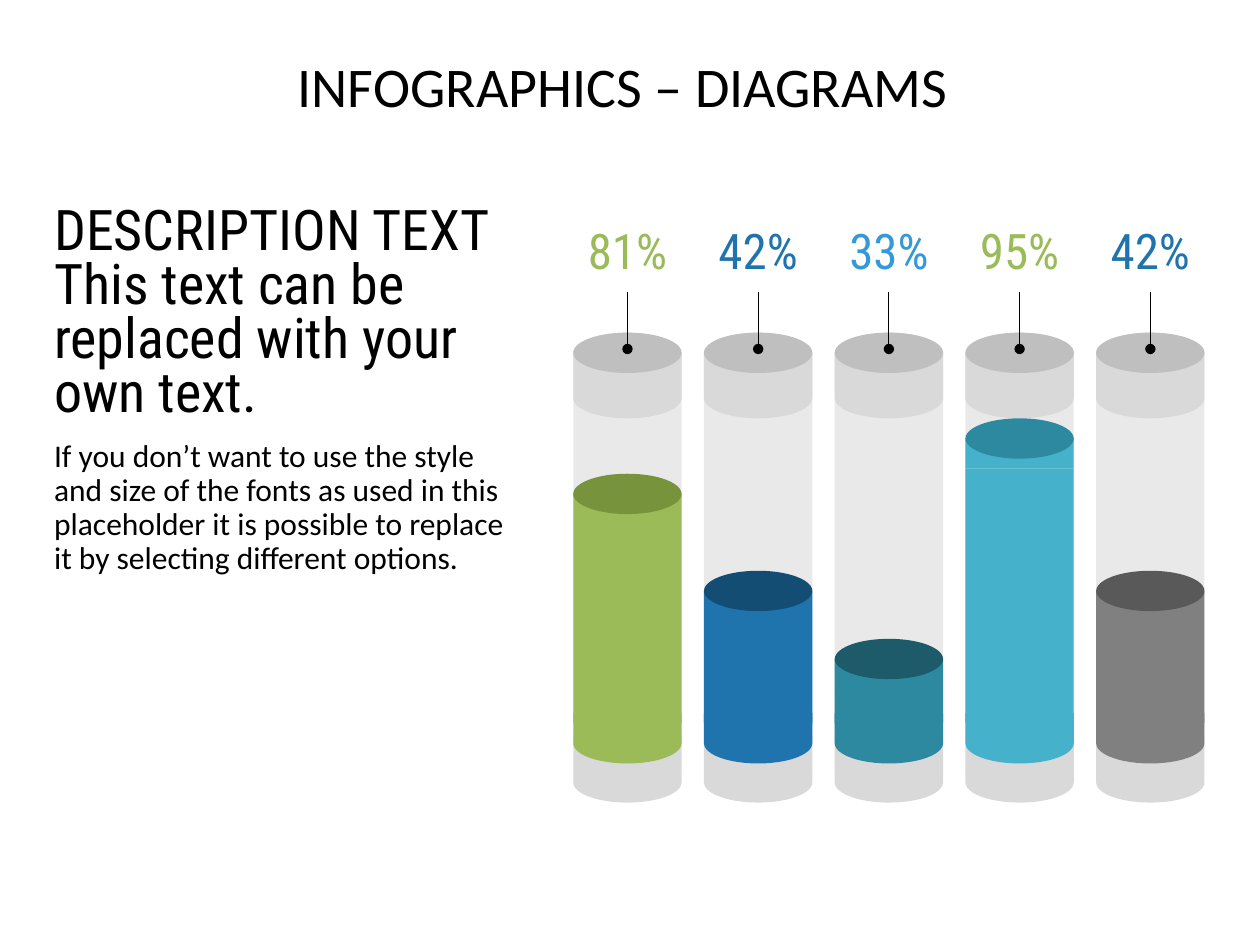
from dataclasses import dataclass
from math import cos, pi, sin

from pptx import Presentation
from pptx.dml.color import RGBColor
from pptx.enum.shapes import MSO_CONNECTOR, MSO_SHAPE
from pptx.enum.text import MSO_ANCHOR, MSO_AUTO_SIZE, PP_ALIGN
from pptx.oxml.ns import qn
from pptx.util import Inches, Pt
from lxml.etree import SubElement

UNIT = Inches(0.1)  # the slide is a grid of 100 columns by 75 rows


@dataclass(frozen=True)
class Theme:
    heading_font: str = "Roboto Condensed"
    body_font: str = "Calibri"
    heading_size: int = 32
    body_size: int = 18
    label_size: int = 28
    pointer_width: float = 0.5
    text: str = "000000"
    glass: str = "A6A6A6"
    glass_opacity: int = 24
    cap: str = "D9D9D9"
    lid: str = "BFBFBF"
    green: str = "9BBB59"
    dark_green: str = "77933C"
    blue: str = "1F74AD"
    dark_blue: str = "144D73"
    light_blue: str = "3498DB"
    aqua: str = "45B1CB"
    teal: str = "2D899F"
    dark_teal: str = "1E5B6A"
    grey: str = "808080"
    dark_grey: str = "595959"


THEME = Theme()


@dataclass(frozen=True)
class Box:
    left: float
    top: float
    width: float
    height: float

    def band(self, row, height):
        """A full-width strip that starts some rows below the top."""
        return Box(self.left, self.top + row, self.width, height)

    def emu(self):
        return [round(v * UNIT) for v in (self.left, self.top, self.width, self.height)]


@dataclass(frozen=True)
class Cylinder:
    label: str
    label_color: str
    fill: str
    surface: str
    level: float  # row of the liquid surface


CYLINDERS = [
    Cylinder("81%", THEME.green, THEME.green, THEME.dark_green, 20.5),
    Cylinder("42%", THEME.blue, THEME.blue, THEME.dark_blue, 28.2),
    Cylinder("33%", THEME.light_blue, THEME.teal, THEME.dark_teal, 33.6),
    Cylinder("95%", THEME.green, THEME.aqua, THEME.teal, 16.1),
    Cylinder("42%", THEME.blue, THEME.grey, THEME.dark_grey, 28.2),
]
ELLIPSE = 3.2  # rows taken by a full ellipse
CAP = 6.8
LABEL = 6.1


def add_text(paragraph, text, font, size, color, spacing):
    paragraph.line_spacing = spacing
    for index, line in enumerate(text.split("\n")):
        if index:
            paragraph.add_line_break()
        run = paragraph.add_run()
        run.text = line
        run.font.name, run.font.size = font, Pt(size)
        run.font.color.rgb = RGBColor.from_string(color)


def prepare_frame(shape, anchor=MSO_ANCHOR.TOP):
    frame = shape.text_frame
    frame.margin_left = frame.margin_top = frame.margin_right = frame.margin_bottom = 0
    frame.word_wrap, frame.auto_size = True, MSO_AUTO_SIZE.NONE
    frame.vertical_anchor = anchor
    return frame


def paint(shape, color):
    shape.shadow.inherit = False
    shape.fill.solid()
    shape.fill.fore_color.rgb = RGBColor.from_string(color)
    shape.line.fill.background()
    return shape


def add_solid(shapes, preset, box, color):
    return paint(shapes.add_shape(preset, *box.emu()), color)


def add_rounded_band(shapes, box, color, round_top):
    """A strip with a half ellipse below and, if asked, one above."""
    radius, half, steps = box.width / 2, ELLIPSE / 2, 24
    center, bottom = box.left + radius, box.top + box.height

    def arc(middle, start):
        angles = [start + pi * step / steps for step in range(steps + 1)]
        return [(center + radius * cos(a), middle + half * sin(a)) for a in angles]

    if round_top:
        points = arc(box.top + half, pi)
    else:
        points = [(box.left, box.top), (box.left + box.width, box.top)]
    points += arc(bottom - half, 0)
    points = [(round(x * UNIT), round(y * UNIT)) for x, y in points]
    builder = shapes.build_freeform(*points[0])
    builder.add_line_segments(points[1:], close=True)
    paint(builder.convert_to_shape(), color)


def add_pointer(shapes, label, length):
    x, y = label.left + label.width // 2, label.top + label.height
    pointer = shapes.add_connector(MSO_CONNECTOR.STRAIGHT, x, y, x, y + round(length * UNIT))
    pointer.begin_connect(label, 2)
    pointer.line.width = Pt(THEME.pointer_width)
    pointer.line.color.rgb = RGBColor.from_string(THEME.text)
    SubElement(pointer.line._get_or_add_ln(), qn("a:tailEnd"), type="oval")
    SubElement(pointer._element.spPr, qn("a:effectLst"))


def add_cylinder(slide, box, cylinder):
    shapes = slide.shapes.add_group_shape().shapes
    rectangle, ellipse = MSO_SHAPE.RECTANGLE, MSO_SHAPE.OVAL

    # Glass tube with its lid and base
    glass = add_solid(shapes, rectangle, box.band(10.9, 30.6), THEME.glass)
    color = glass._element.spPr.find(qn("a:solidFill"))[0]
    SubElement(color, qn("a:alpha"), val=str(THEME.glass_opacity * 1000))
    add_rounded_band(shapes, box.band(9.3, CAP), THEME.cap, True)
    add_solid(shapes, ellipse, box.band(9.3, ELLIPSE), THEME.lid)
    add_rounded_band(shapes, box.band(box.height - CAP, CAP), THEME.cap, True)

    # Liquid: body, neck, surface and rounded foot
    neck, neck_height, body_end = cylinder.level + ELLIPSE / 2, 2.4, 40.3
    body = neck + neck_height
    add_solid(shapes, rectangle, box.band(body, body_end - body), cylinder.fill)
    add_solid(shapes, rectangle, box.band(neck, neck_height), cylinder.fill)
    add_solid(shapes, ellipse, box.band(cylinder.level, ELLIPSE), cylinder.surface)
    add_rounded_band(shapes, box.band(39.5, 4), cylinder.fill, False)

    # Percentage and pointer
    label = shapes.add_textbox(*box.band(0, LABEL).emu())
    paragraph = prepare_frame(label, MSO_ANCHOR.MIDDLE).paragraphs[0]
    paragraph.alignment = PP_ALIGN.CENTER
    add_text(paragraph, cylinder.label, THEME.heading_font, THEME.label_size,
             cylinder.label_color, 0.9)
    add_pointer(shapes, label, 4.5)


def add_cylinder_row(slide, box):
    width = 8.6
    pitch = (box.width - width) / (len(CYLINDERS) - 1)
    for index, cylinder in enumerate(CYLINDERS):
        add_cylinder(slide, Box(box.left + index * pitch, box.top, width, box.height), cylinder)


def add_title(slide, box):
    title = slide.shapes.title
    title.left, title.top, title.width, title.height = box.emu()
    paragraph = prepare_frame(title).paragraphs[0]
    paragraph.alignment = PP_ALIGN.CENTER
    add_text(paragraph, "INFOGRAPHICS – DIAGRAMS ", THEME.body_font,
             THEME.heading_size, THEME.text, 0.9)


def add_description(slide, box):
    frame = prepare_frame(slide.shapes.add_textbox(*box.emu()))
    heading, body = frame.paragraphs[0], frame.add_paragraph()
    heading.space_after = body.space_after = Pt(10)
    add_text(heading, "DESCRIPTION TEXT\nThis text can be replaced with your \nown text.",
             THEME.heading_font, THEME.heading_size, THEME.text, 0.8)
    add_text(body, "If you don’t want to use the style \nand size of the fonts as used in "
             "this placeholder it is possible to replace \nit by selecting different options.",
             THEME.body_font, THEME.body_size, THEME.text, 0.9)


def main():
    presentation = Presentation()
    presentation.slide_width, presentation.slide_height = 100 * UNIT, 75 * UNIT
    slide = presentation.slides.add_slide(presentation.slide_layouts[5])
    add_title(slide, Box(4.3, 4.7, 91.3, 11.8))
    add_description(slide, Box(4.3, 16.5, 37.7, 47))
    add_cylinder_row(slide, Box(45.5, 17.1, 50.1, 46.6))
    presentation.save("out.pptx")


if __name__ == "__main__":
    main()
